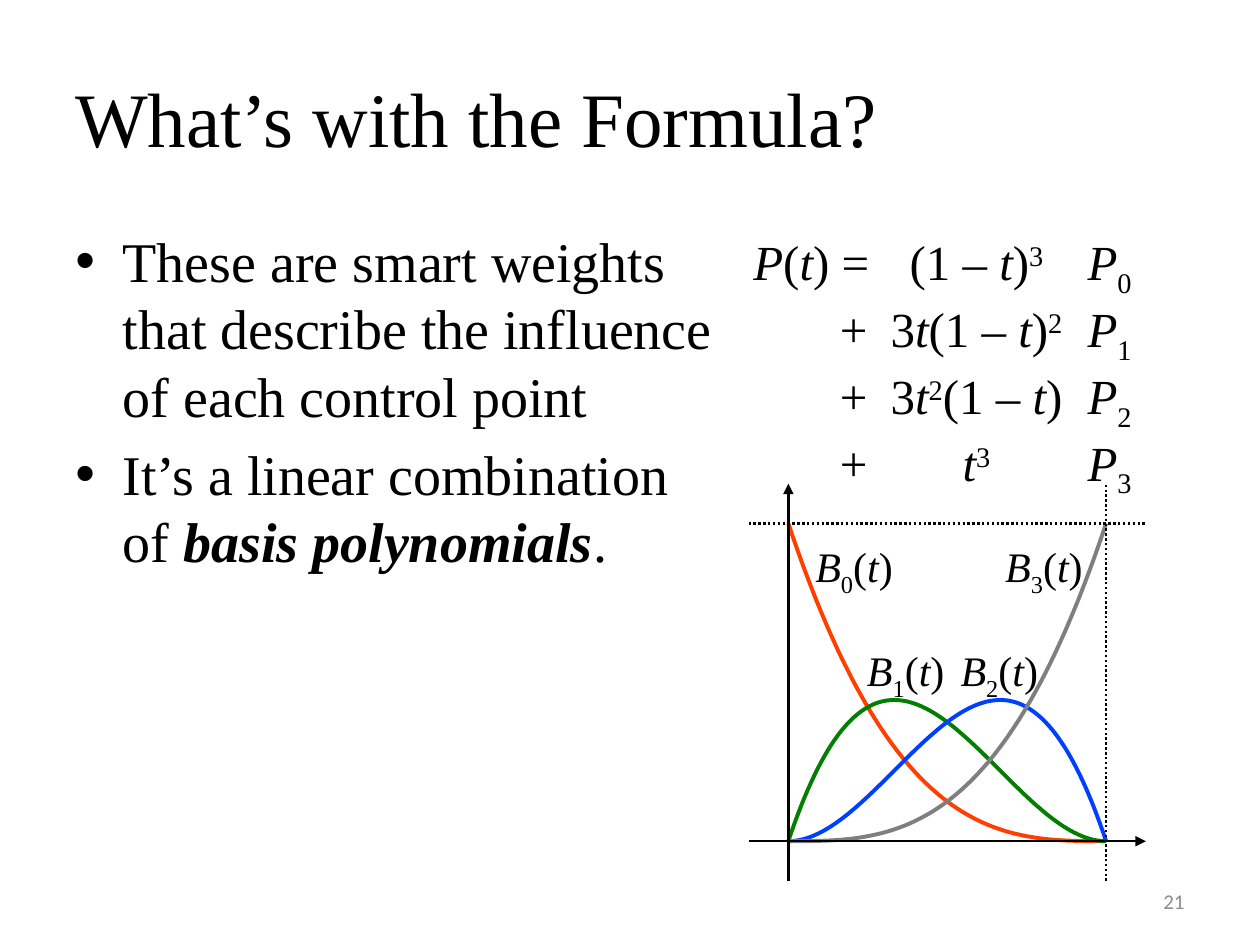
from lxml import etree
from pptx import Presentation
from pptx.dml.color import RGBColor
from pptx.enum.dml import MSO_LINE
from pptx.enum.shapes import MSO_CONNECTOR
from pptx.enum.text import MSO_ANCHOR, PP_ALIGN
from pptx.oxml.ns import qn
from pptx.util import Pt

BLACK = RGBColor(0x00, 0x00, 0x00)
GRAY = RGBColor(0x8C, 0x8C, 0x8C)
CURVES = [
    RGBColor(0xFF, 0x3F, 0x00),
    RGBColor(0x00, 0x7F, 0x00),
    RGBColor(0x00, 0x3F, 0xFF),
    RGBColor(0x7F, 0x7F, 0x7F),
]
SERIF = "Times New Roman"
BINOMIALS = [1, 3, 3, 1]
STEPS = 96
FORMULA = [
    "P(t) =\t(1 – t)^3\tP_0",
    "\t+\t3t(1 – t)^2\tP_1",
    "\t+\t3t^2(1 – t)\tP_2",
    "\t+\tt^3\tP_3",
]
TAB_STOPS = [(49.5, "l"), (127.5, "ctr"), (191, "l")]


def set_font(font, size, color=BLACK, name=SERIF):
    font.name = name
    font.size = Pt(size)
    font.color.rgb = color


def add_text(s, left, top, width, height, anchor=MSO_ANCHOR.TOP):
    tf = s.shapes.add_textbox(Pt(left), Pt(top), Pt(width), Pt(height)).text_frame
    tf.word_wrap = True
    tf.vertical_anchor = anchor
    return tf


def add_math(p, markup, size):
    shifts = {"^": "30000", "_": "-25000"}
    pieces, shift = [], "0"
    for char in markup:
        if char in shifts:
            shift = shifts[char]
            continue
        style = (char in "PBt", shift)
        if pieces and pieces[-1][0] == style:
            pieces[-1][1] += char
        else:
            pieces.append([style, char])
        shift = "0"
    for (italic, shift), text in pieces:
        r = p.add_run()
        r.text = text
        set_font(r.font, size)
        r.font.italic = italic
        if shift != "0":
            r.font._element.set("baseline", shift)


def add_title(s, left, top, width, height):
    tf = add_text(s, left, top, width, height, MSO_ANCHOR.MIDDLE)
    tf.text = "What’s with the Formula?"
    set_font(tf.paragraphs[0].runs[0].font, 44)


def add_bullets(s, left, top, width, height):
    tf = add_text(s, left, top, width, height)
    tf.text = (
        "These are smart weights that describe the influence of each control point\n"
        "It’s a linear combination of "
    )
    first, last = tf.paragraphs
    last.space_before = Pt(6.4)
    for text in ("basis polynomials", "."):
        last.add_run().text = text
    for p in (first, last):
        pPr = p._p.get_or_add_pPr()
        pPr.set("marL", str(Pt(27)))
        pPr.set("indent", str(-Pt(27)))
        etree.SubElement(pPr, qn("a:buFont")).set("typeface", "Arial")
        etree.SubElement(pPr, qn("a:buChar")).set("char", "•")
        for r in p.runs:
            set_font(r.font, 32)
    emphasis = last.runs[1].font
    emphasis.bold = emphasis.italic = True


def add_formula(s, left, top, width, height):
    tf = add_text(s, left, top, width, height)
    for i, row in enumerate(FORMULA):
        p = tf.add_paragraph() if i else tf.paragraphs[0]
        tabs = etree.SubElement(p._p.get_or_add_pPr(), qn("a:tabLst"))
        for pos, align in TAB_STOPS:
            etree.SubElement(tabs, qn("a:tab"), pos=str(Pt(pos)), algn=align)
        add_math(p, row, 28)


def add_rule(s, x1, y1, x2, y2, arrow):
    line = s.shapes.add_connector(
        MSO_CONNECTOR.STRAIGHT, Pt(x1), Pt(y1), Pt(x2), Pt(y2)
    )
    line.line.color.rgb = BLACK
    line.line.width = Pt(1.38)
    if arrow:
        etree.SubElement(line.line._get_or_add_ln(), qn("a:tailEnd")).set(
            "type", "triangle"
        )
    else:
        line.line.dash_style = MSO_LINE.ROUND_DOT
    etree.SubElement(line._element.spPr, qn("a:effectLst"))


def add_curve(s, x0, y0, unit, degree, color):
    points = []
    for step in range(STEPS + 1):
        t = step / STEPS
        weight = BINOMIALS[degree] * t**degree * (1 - t) ** (3 - degree)
        points.append((Pt(x0 + unit * t), Pt(y0 - unit * weight)))
    builder = s.shapes.build_freeform(*points[0])
    builder.add_line_segments(points[1:], close=False)
    sp = builder.convert_to_shape()
    sp.shadow.inherit = False
    sp.fill.background()
    sp.line.color.rgb = color
    sp.line.width = Pt(2.25)


def add_plot(s, left, top, side):
    margin = side / 10
    unit = side - 2 * margin
    x0, y0 = left + margin, top + side - margin
    x1, y1 = x0 + unit, y0 - unit
    right, bottom = left + side, top + side
    for degree, color in enumerate(CURVES):
        add_curve(s, x0, y0, unit, degree, color)
    add_rule(s, left, y0, right, y0, True)
    add_rule(s, x0, bottom, x0, top, True)
    add_rule(s, left, y1, right, y1, False)
    add_rule(s, x1, bottom, x1, top, False)
    label_spots = [(31, 29), (60.5, 88.5), (114, 88.5), (139.5, 29)]
    for degree, (dx, dy) in enumerate(label_spots):
        tf = add_text(s, left + dx, top + dy, 62, 36)
        tf.word_wrap = False
        add_math(tf.paragraphs[0], f"B_{degree}(t)", 24)


def add_slide_number(s, left, top, width, height):
    tf = add_text(s, left, top, width, height, MSO_ANCHOR.MIDDLE)
    tf.text = "21"
    p = tf.paragraphs[0]
    p.alignment = PP_ALIGN.RIGHT
    set_font(p.runs[0].font, 12, GRAY, "Calibri")


def main():
    prs = Presentation()
    prs.slide_width, prs.slide_height = Pt(720), Pt(540)
    s = prs.slides.add_slide(prs.slide_layouts[6])
    add_title(s, 36, 21.6, 648, 90)
    add_bullets(s, 36, 126, 386, 356.4)
    add_slide_number(s, 516, 500.5, 168, 28.75)
    add_formula(s, 423.4, 129, 235.4, 143.3)
    add_plot(s, 427.8, 276.4, 227)
    prs.save("out.pptx")


if __name__ == "__main__":
    main()
